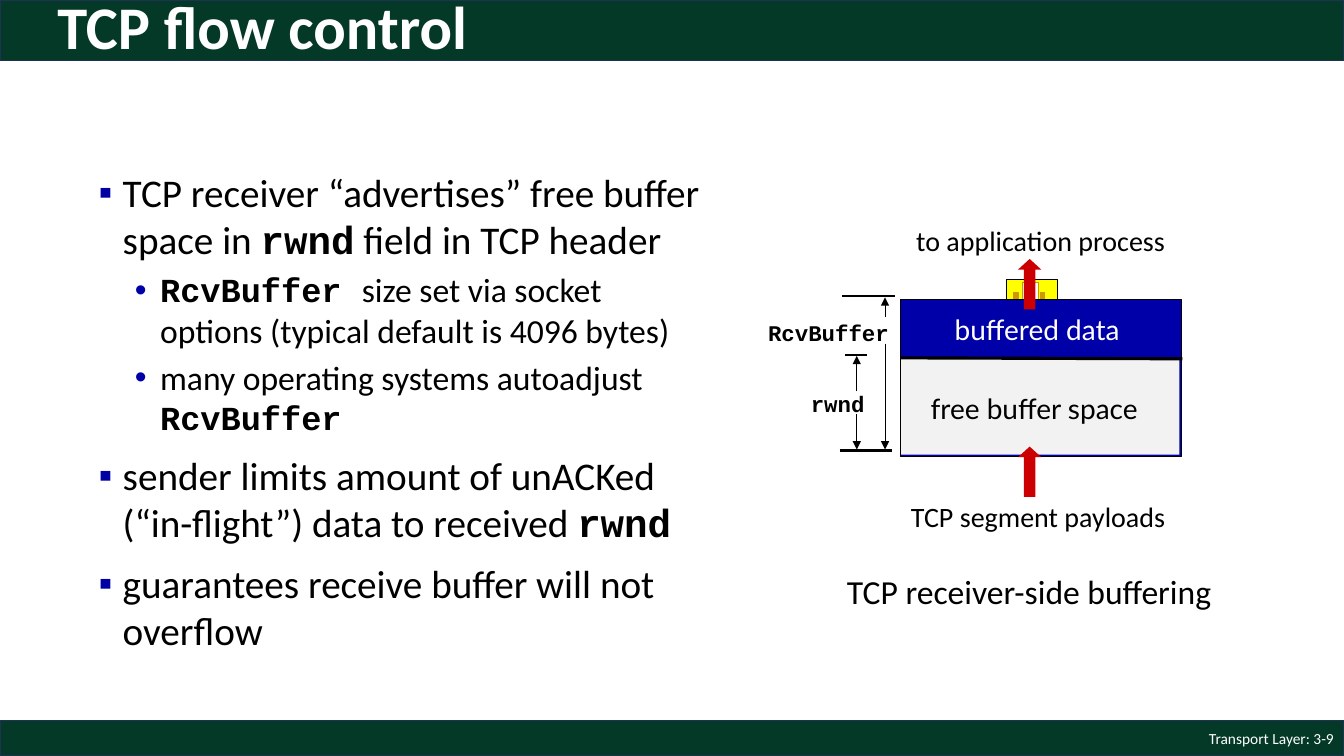
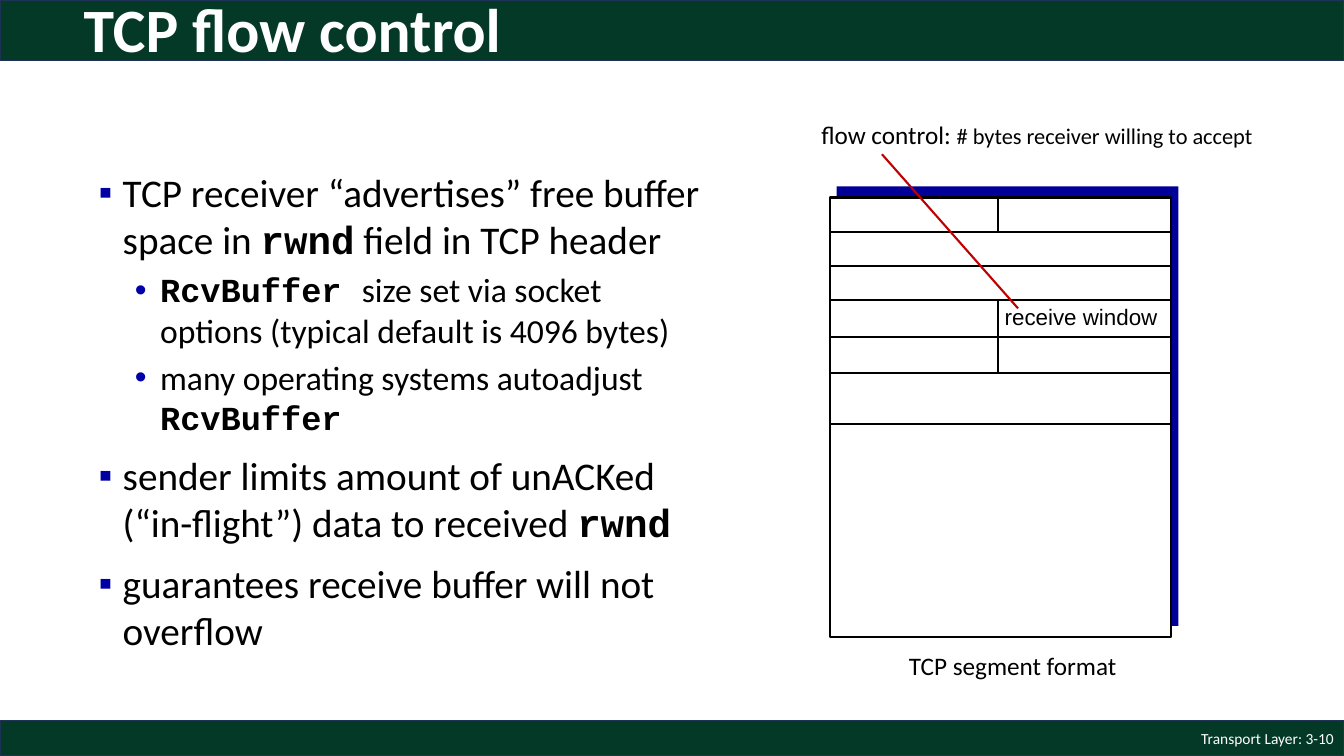
import lxml.etree
import pptx
import pptx.dml.color
import pptx.enum.shapes
import pptx.enum.text
import pptx.oxml.ns
import pptx.util

Pt = pptx.util.Pt
SHAPE = pptx.enum.shapes.MSO_SHAPE
ALIGN = pptx.enum.text.PP_ALIGN
ANCHOR = pptx.enum.text.MSO_ANCHOR
FIT = pptx.enum.text.MSO_AUTO_SIZE
qn = pptx.oxml.ns.qn


class Theme:
    band, band_edge = "043927", "1E3256"
    black, white = "000000", "FFFFFF"
    buffer_blue, bullet_blue, shadow_blue = "0000A8", "0000A3", "000099"
    free_grey, flow_red, pointer_red = "F2F2F2", "CC0000", "C00000"
    icon_yellow, icon_gold = "FFFF00", "CC9900"
    text, code, diagram, field = "Calibri", "Courier New", "Lato", "Arial"
    footer, code_label, note, label, sub, body = 11, 16, 18, 20, 24, 28


def add_shape(slide, kind, bounds, fill, edge=None, width=0.75):
    shape = slide.shapes.add_shape(kind, *[Pt(value) for value in bounds])
    shape.shadow.inherit = False
    shape.fill.solid()
    shape.fill.fore_color.rgb = pptx.dml.color.RGBColor.from_string(fill)
    if edge:
        shape.line.color.rgb = pptx.dml.color.RGBColor.from_string(edge)
        shape.line.width = Pt(width)
    else:
        shape.line.fill.background()
    return shape


def add_line(slide, ends, width, colour=Theme.black, arrow=False):
    line = slide.shapes.add_connector(
        pptx.enum.shapes.MSO_CONNECTOR.STRAIGHT, *[Pt(value) for value in ends])
    line.line.color.rgb = pptx.dml.color.RGBColor.from_string(colour)
    line.line.width = Pt(width)
    properties = line.element.spPr
    lxml.etree.SubElement(properties, qn("a:effectLst"))
    if arrow:
        outline = properties.find(qn("a:ln"))
        lxml.etree.SubElement(outline, qn("a:tailEnd"), type="triangle")


deck = pptx.Presentation()
deck.slide_width, deck.slide_height = Pt(960), Pt(540)
layout = deck.slide_layouts[5]
buffer_slide = deck.slides.add_slide(layout)
segment_slide = deck.slides.add_slide(layout)

# Bands, shared through the layout
footer_top, footer_height = 514.8, 25.2
for position, bounds in enumerate([(0, 0, 960, 43.2),
                                   (0, footer_top, 960, footer_height)]):
    band = add_shape(buffer_slide, SHAPE.RECTANGLE, bounds,
                     Theme.band, Theme.band_edge, 1)
    layout.shapes.element.insert(2 + position, band.element)

# Titles
for slide, bounds, size in [
    (buffer_slide, (33.8, 0, 828, 43.2), 43.2),
    (segment_slide, (52.6, -12.2, 897, 70.6), 44),
]:
    title = slide.shapes.title
    title.left, title.top, title.width, title.height = [Pt(v) for v in bounds]
    title.text_frame.text = "TCP flow control"
    title.text_frame.auto_size = FIT.NONE
    title.text_frame.vertical_anchor = ANCHOR.MIDDLE
    heading = title.text_frame.paragraphs[0]
    heading.alignment = ALIGN.LEFT
    heading.line_spacing = 0.9
    heading.font.name = Theme.text
    heading.font.size = Pt(size)
    heading.font.bold = True
    heading.font.color.rgb = pptx.dml.color.RGBColor.from_string(Theme.white)

# Bullet text, the same on both slides: (level, [(words, is code)])
points = [
    (0, [("TCP receiver “advertises” free buffer space in ", False),
         ("rwnd", True), (" field in TCP header", False)]),
    (1, [("RcvBuffer ", True),
         ("size set via socket options (typical default is 4096 bytes)", False)]),
    (1, [("many operating systems autoadjust ", False), ("RcvBuffer", True)]),
    (0, [("sender limits amount of unACKed (“in-flight”) data to received ", False),
         ("rwnd", True)]),
    (0, [("guarantees receive buffer will not overflow", False)]),
]
# Per level: bullet, its colour, text indent, hang, space before, size
levels = [
    ("▪", Theme.bullet_blue, 28, 17.3, 10, Theme.body),
    ("•", Theme.buffer_blue, 54.7, 18, 5, Theme.sub),
]
for slide in deck.slides:
    body = slide.shapes.add_textbox(Pt(52.6), Pt(116.6), Pt(458.6), Pt(386.6)).text_frame
    body.word_wrap = True
    for index, (level, pieces) in enumerate(points):
        bullet, colour, indent, hang, gap, size = levels[level]
        point = body.add_paragraph() if index else body.paragraphs[0]
        point.level = level
        point.space_before = Pt(gap if index else 0)
        properties = point._p.get_or_add_pPr()
        properties.set("marL", str(Pt(indent)))
        properties.set("indent", str(-Pt(hang)))
        bullet_colour = lxml.etree.SubElement(properties, qn("a:buClr"))
        lxml.etree.SubElement(bullet_colour, qn("a:srgbClr"), val=colour)
        lxml.etree.SubElement(properties, qn("a:buFont"), typeface=Theme.field)
        lxml.etree.SubElement(properties, qn("a:buChar"), char=bullet)
        point.font.name = Theme.text
        point.font.size = Pt(size)
        point.font.color.rgb = pptx.dml.color.RGBColor.from_string(Theme.black)
        for words, is_code in pieces:
            run = point.add_run()
            run.text = words
            if is_code:
                run.font.name = Theme.code
                run.font.bold = True

# Receive buffer with the application icon on top
for bounds, fill, edge in [
    ((719.3, 199.4, 36, 16.6), Theme.icon_yellow, Theme.black),
    ((730.1, 201.6, 11.5, 12.2), Theme.white, Theme.icon_gold),
    ((743, 208.8, 2.9, 4.3), Theme.icon_gold, Theme.icon_gold),
    ((724.3, 208.8, 2.9, 4.3), Theme.icon_gold, Theme.icon_gold),
    ((643, 213.8, 200.9, 112.3), Theme.buffer_blue, Theme.black),
    ((643.7, 255.6, 198.7, 69.1), Theme.free_grey, None),
]:
    add_shape(buffer_slide, SHAPE.RECTANGLE, bounds, fill, edge)
add_line(buffer_slide, (643, 255.6, 844.6, 256.3), 2.25)

# Data flowing in and out of the buffer
for top in (185, 319):
    flow = add_shape(buffer_slide, SHAPE.UP_ARROW, (727.2, top, 16.6, 36), Theme.flow_red)
    flow.adjustments[0], flow.adjustments[1] = 0.5, 0.459

# Dimension marks for RcvBuffer and rwnd
for left, right, y in [(601.2, 639.4, 211.7), (603.4, 619.2, 253.4), (599.8, 637.2, 321.8)]:
    add_line(buffer_slide, (left, y, right, y), 1.5)
for x, start, end in [(612, 279.4, 254.2), (612, 295.9, 321.1),
                      (632.2, 226.1, 212.4), (632.2, 245.5, 321.1)]:
    add_line(buffer_slide, (x, start, x, end), 0.75, arrow=True)

# TCP segment: header rows over the payload
left, top, width, height = 592.6, 141.1, 244.1, 313.9
middle = 713
add_shape(segment_slide, SHAPE.RECTANGLE, (597.6, 133.2, width, height), Theme.shadow_blue)
add_shape(segment_slide, SHAPE.RECTANGLE, (left, top, width, height),
          Theme.white, Theme.black, 1.5)
row_top = top
for row_height, is_split in [(24.5, True), (24.5, False), (24.5, False),
                             (25.9, True), (25.9, True), (36.7, False)]:
    row_bottom = row_top + row_height
    add_line(segment_slide, (left, row_bottom, left + width, row_bottom), 1.5)
    if is_split:
        add_line(segment_slide, (middle, row_top, middle, row_bottom), 1.5)
    row_top = row_bottom
add_line(segment_slide, (727.2, 220.3, 630, 110.2), 1.5, Theme.pointer_red)

# Centred diagram labels: slide, words, bounds, size, font, colour
labels = [
    (buffer_slide, "buffered data", (673.9, 219.6, 133.9, 31),
     Theme.label, Theme.diagram, Theme.white),
    (buffer_slide, "free buffer space", (656.6, 275.8, 164.2, 31),
     Theme.label, Theme.diagram, Theme.black),
    (buffer_slide, "rwnd", (571.7, 275, 53.3, 26.6),
     Theme.code_label, Theme.code, Theme.black),
    (buffer_slide, "RcvBuffer", (541.4, 224.6, 100.8, 26.6),
     Theme.code_label, Theme.code, Theme.black),
    (buffer_slide, "TCP segment payloads", (642.2, 353.5, 198.7, 31.7),
     Theme.label, Theme.text, Theme.black),
    (buffer_slide, "to application process", (645.8, 156.2, 195.1, 31.7),
     Theme.label, Theme.text, Theme.black),
    (buffer_slide, "TCP receiver-side buffering", (594.7, 404.6, 280.8, 36),
     Theme.sub, Theme.text, Theme.black),
    (segment_slide, "receive window", (709.9, 213.1, 124.6, 26.6),
     Theme.code_label, Theme.field, Theme.black),
]
for slide, words, bounds, size, font, colour in labels:
    label = slide.shapes.add_textbox(*[Pt(value) for value in bounds]).text_frame
    label.word_wrap = False
    label.auto_size = FIT.SHAPE_TO_FIT_TEXT
    caption = label.paragraphs[0]
    caption.text = words
    caption.alignment = ALIGN.CENTER
    caption.font.name = font
    caption.font.size = Pt(size)
    caption.font.bold = font == Theme.code
    caption.font.color.rgb = pptx.dml.color.RGBColor.from_string(colour)

# Left-aligned notes around the segment: [(words, size)] and bounds
for pieces, bounds in [
    ([("flow control: ", Theme.note),
      ("# bytes receiver willing to accept", Theme.code_label)], (579.6, 84.2, 342.7, 26.6)),
    ([("TCP segment format", Theme.note)], (642.2, 463.7, 182.2, 26.6)),
]:
    frame = segment_slide.shapes.add_textbox(*[Pt(value) for value in bounds]).text_frame
    frame.word_wrap = True
    note = frame.paragraphs[0]
    note.line_spacing = 0.9
    note.font.name = Theme.text
    note.font.color.rgb = pptx.dml.color.RGBColor.from_string(Theme.black)
    for words, size in pieces:
        run = note.add_run()
        run.text = words
        run.font.size = Pt(size)

# Footers
for number, slide in enumerate(deck.slides, start=9):
    footer = slide.shapes.add_textbox(
        Pt(744), Pt(footer_top), Pt(216), Pt(footer_height)).text_frame
    footer.word_wrap = True
    footer.vertical_anchor = ANCHOR.MIDDLE
    page = footer.paragraphs[0]
    page.text = f"Transport Layer: 3-{number}"
    page.alignment = ALIGN.RIGHT
    page.font.name = Theme.text
    page.font.size = Pt(Theme.footer)
    page.font.color.rgb = pptx.dml.color.RGBColor.from_string(Theme.white)

deck.save("out.pptx")
